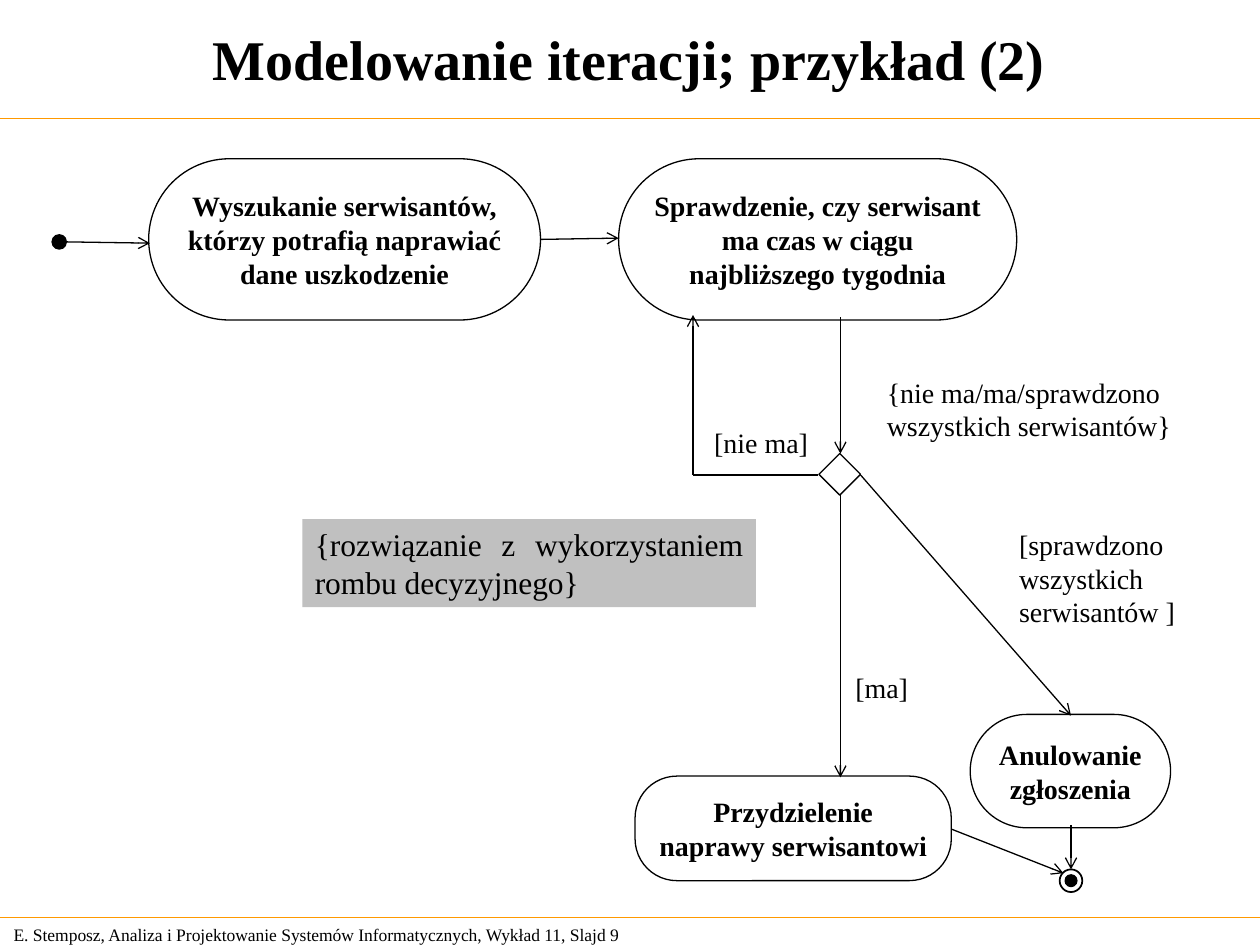
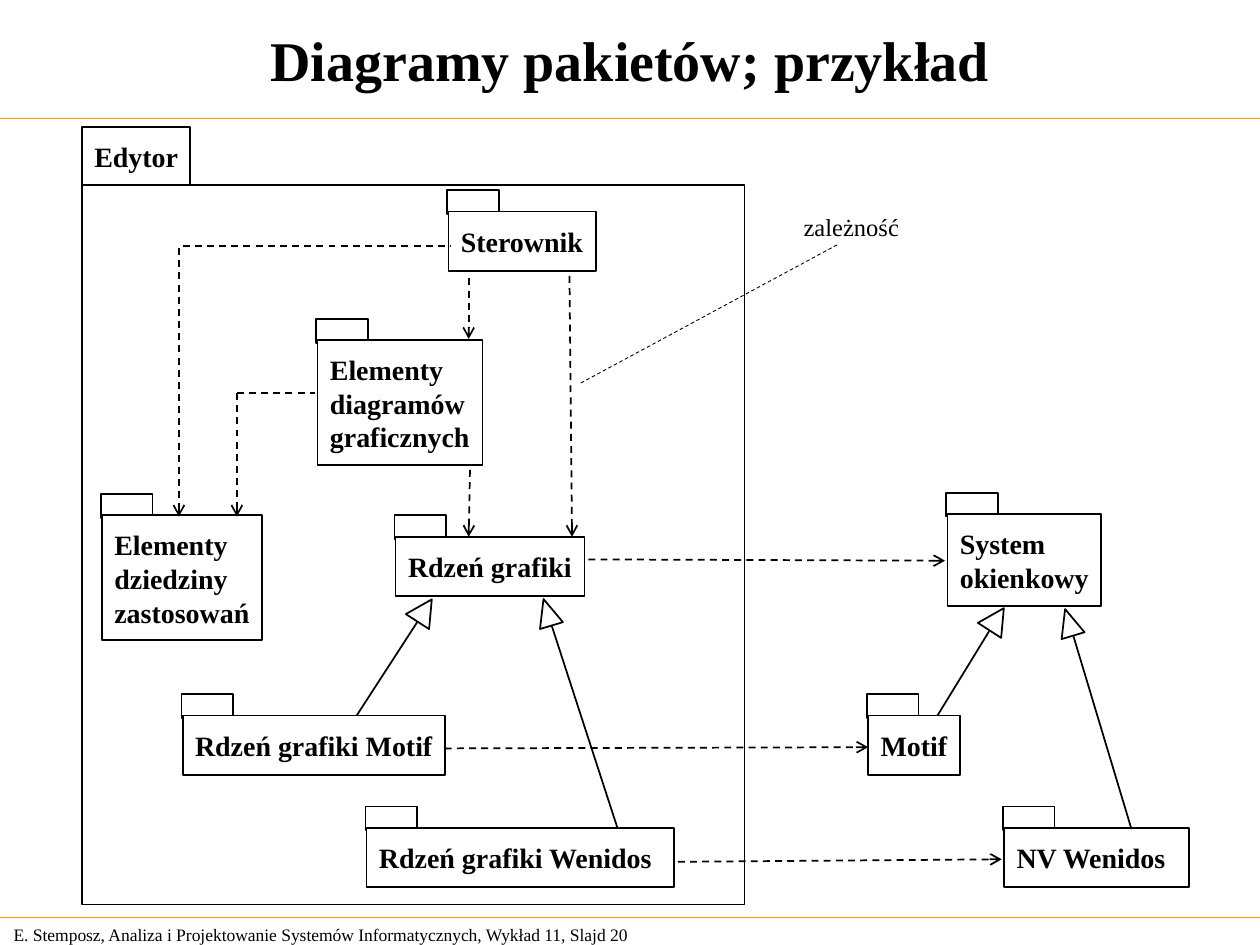
from lxml import etree
from pptx import Presentation
from pptx import util as u
from pptx.dml.color import RGBColor
from pptx.enum import dml, shapes, text
from pptx.oxml import ns

FONT, BLACK, WHITE, GREY, ORANGE = "Times New Roman", "000000", "FFFFFF", "C0C0C0", "FF9900"
AL, ANC, G = text.PP_ALIGN, text.MSO_ANCHOR, shapes.MSO_SHAPE


def color(code):
    """Turn a hex string into a colour."""
    return RGBColor.from_string(code)


def write(frame, words, size=16, bold=False, align=AL.LEFT, anchor=ANC.TOP, pad=0.05, wrap=False):
    """Fill a text frame, one paragraph per line of words."""
    frame.auto_size = text.MSO_AUTO_SIZE.NONE
    frame.word_wrap = wrap
    frame.vertical_anchor = anchor
    frame.margin_left = frame.margin_right = u.Inches(0.1)
    frame.margin_top = frame.margin_bottom = u.Inches(pad)
    frame.text = words
    for para in frame.paragraphs:
        para.alignment = align
        font = para.font
        font.name, font.size, font.bold = FONT, u.Pt(size), bold
        font.color.rgb = color(BLACK)


class Deck:
    """Hold the shared style and the current slide."""

    def __init__(self):
        """Start an empty deck."""
        self.prs = Presentation()
        self.prs.slide_width, self.prs.slide_height = u.Inches(10), u.Inches(7.5)

    def page(self, title, num, place):
        """Add a slide with its title, rules and footer."""
        self.slide = self.prs.slides.add_slide(self.prs.slide_layouts[5])
        for y in (0.94, 7.28):
            self.line((0, y), (10, y), ink=ORANGE)
        self.label(f"E. Stemposz, Analiza i Projektowanie Systemów Informatycznych, Wykład 11, Slajd {num}",
                   (0.01, 7.28, 5.24, 0.27), size=10, anchor=ANC.MIDDLE)
        head = self.slide.shapes.title
        head.left, head.top, head.width, head.height = map(u.Inches, place)
        write(head.text_frame, title, size=32, bold=True, align=AL.CENTER, anchor=ANC.MIDDLE, wrap=True)

    def label(self, words, place, **style):
        """Add a plain text box."""
        box = self.slide.shapes.add_textbox(*map(u.Inches, place))
        write(box.text_frame, words, **style)

    def shape(self, kind, place, fill=None, ink=BLACK, width=1, turn=0):
        """Add a preset shape."""
        item = self.slide.shapes.add_shape(kind, *map(u.Inches, place))
        item.shadow.inherit = False
        item.rotation = turn
        if fill:
            item.fill.solid()
            item.fill.fore_color.rgb = color(fill)
        else:
            item.fill.background()
        if ink:
            item.line.color.rgb = color(ink)
            item.line.width = u.Pt(width)
        else:
            item.line.fill.background()
        return item

    def line(self, start, end, ink=BLACK, width=0.75, dash=False, arrow=False):
        """Add a straight line, dashed or with an open arrowhead on request."""
        link = self.slide.shapes.add_connector(
            shapes.MSO_CONNECTOR.STRAIGHT, *map(u.Inches, (*start, *end)))
        link.line.color.rgb = color(ink)
        link.line.width = u.Pt(width)
        if dash:
            link.line.dash_style = dml.MSO_LINE.DASH
        props = link._element.spPr
        if arrow:
            etree.SubElement(props.find(ns.qn("a:ln")), ns.qn("a:tailEnd"), type="arrow")
        etree.SubElement(props, ns.qn("a:effectLst"))

    def state(self, words, place, bend=0.5):
        """Add a rounded activity."""
        item = self.shape(G.ROUNDED_RECTANGLE, place, width=0.75)
        item.adjustments[0] = bend
        write(item.text_frame, words, bold=True, align=AL.CENTER, anchor=ANC.MIDDLE)

    def dot(self, x, y, size, fill=BLACK):
        """Add a circle around a centre."""
        self.shape(G.OVAL, (x - size / 2, y - size / 2, size, size), fill)

    def block(self, words, x, y, w):
        """Add a titled box as high as its lines."""
        high = 0.21 + 0.26 * len(words.split("\n"))
        item = self.shape(G.RECTANGLE, (x, y, w, high), WHITE)
        write(item.text_frame, words, bold=True, pad=0.1)

    def pack(self, words, x, y, w):
        """Add a package: a small tab behind a block."""
        self.shape(G.RECTANGLE, (x - 0.01, y - 0.17, 0.41, 0.19), WHITE)
        self.block(words, x, y, w)

    def heir(self, place, turn, start, end):
        """Add a generalisation: a line and a hollow triangle."""
        self.line(start, end, width=1)
        self.shape(G.ISOSCELES_TRIANGLE, place, WHITE, turn=turn)


def loop(deck):
    """Draw the activity diagram."""
    deck.page("Modelowanie iteracji; przykład (2)", 9, (0, 0, 9.99, 0.92))
    deck.state("Wyszukanie serwisantów,\nktórzy potrafią naprawiać\ndane uszkodzenie",
               (1.18, 1.26, 3.11, 1.28))
    deck.state("Sprawdzenie, czy serwisant\nma czas w ciągu\nnajbliższego tygodnia",
               (4.91, 1.26, 3.16, 1.28))
    deck.state("Przydzielenie\nnaprawy serwisantowi", (5.04, 6.16, 2.51, 0.83), 0.4)
    deck.state("Anulowanie\nzgłoszenia", (7.7, 5.67, 1.59, 0.9))
    deck.shape(G.DIAMOND, (6.5, 3.6, 0.33, 0.33), width=0.75)
    for words, place in (
        ("{nie ma/ma/sprawdzono\nwszystkich serwisantów}", (6.94, 2.93, 2.45, 0.64)),
        ("[nie ma]", (5.57, 3.33, 0.94, 0.37)),
        ("[ma]", (6.69, 5.27, 0.67, 0.37)),
        ("[sprawdzono\nwszystkich\nserwisantów ]", (7.99, 4.14, 1.44, 0.9)),
    ):
        deck.label(words, place)
    note = deck.shape(G.RECTANGLE, (2.4, 4.12, 3.6, 0.7), GREY, ink=None)
    write(note.text_frame, "{rozwiązanie z wykorzystaniem rombu decyzyjnego}",
          size=18, align=AL.JUSTIFY, wrap=True)
    deck.dot(0.47, 1.92, 0.11)
    deck.dot(8.5, 6.99, 0.18, None)
    deck.dot(8.5, 6.99, 0.09)
    deck.line((6.49, 3.77), (5.5, 3.77))
    for start, end in (
        ((0.53, 1.92), (1.19, 1.93)),
        ((4.29, 1.9), (4.91, 1.89)),
        ((6.67, 2.52), (6.67, 3.6)),
        ((6.67, 3.92), (6.67, 6.17)),
        ((5.5, 3.77), (5.5, 2.5)),
        ((6.83, 3.77), (8.5, 5.68)),
        ((8.5, 6.55), (8.5, 6.9)),
        ((7.55, 6.58), (8.44, 6.93)),
    ):
        deck.line(start, end, arrow=True)


def packs(deck):
    """Draw the package diagram."""
    deck.page("Diagramy pakietów; przykład", 20, (0.04, 0.04, 9.92, 0.85))
    deck.block("Edytor", 0.65, 1.01, 0.86)
    deck.shape(G.RECTANGLE, (0.65, 1.47, 5.26, 5.71), WHITE)
    for words, x, y, w in (
        ("Elementy\ndiagramów\ngraficznych", 2.52, 2.7, 1.31),
        ("Elementy\ndziedziny\nzastosowań", 0.81, 4.09, 1.27),
        ("Sterownik", 3.56, 1.68, 1.17),
        ("Rdzeń grafiki", 3.14, 4.26, 1.5),
        ("Rdzeń grafiki Motif", 1.45, 5.68, 2.08),
        ("Rdzeń grafiki Wenidos", 2.91, 6.57, 2.44),
        ("System\nokienkowy", 7.52, 4.08, 1.22),
        ("Motif", 6.89, 5.68, 0.73),
        ("NV Wenidos", 7.97, 6.57, 1.47),
    ):
        deck.pack(words, x, y, w)
    for start, end in (
        ((5.38, 6.84), (7.95, 6.82)),
        ((3.53, 5.94), (6.89, 5.93)),
        ((4.67, 4.44), (7.5, 4.45)),
        ((4.52, 2.19), (4.54, 4.26)),
        ((3.73, 3.73), (3.72, 4.26)),
        ((3.72, 2.21), (3.72, 2.69)),
        ((1.88, 3.12), (1.88, 4.1)),
        ((1.42, 1.97), (1.42, 4.1)),
    ):
        deck.line(start, end, width=1, dash=True, arrow=True)
    deck.line((1.45, 1.95), (3.58, 1.95), width=1, dash=True)
    deck.line((1.88, 3.12), (2.5, 3.12), width=1, dash=True)
    deck.heir((3.26, 4.74, 0.22, 0.21), 32.9, (3.31, 4.94), (2.83, 5.68))
    deck.heir((7.8, 4.81, 0.22, 0.21), 32.9, (7.85, 5.01), (7.44, 5.68))
    deck.heir((4.25, 4.75, 0.19, 0.22), 343.3, (4.38, 4.97), (4.9, 6.57))
    deck.heir((8.39, 4.83, 0.19, 0.22), 343.3, (8.52, 5.05), (8.98, 6.58))
    deck.label("zależność", (6.28, 1.63, 0.96, 0.34), size=14)
    deck.line((4.61, 3.04), (6.65, 1.94), width=0.5, dash=True)


def main():
    """Build and save both slides."""
    deck = Deck()
    loop(deck)
    packs(deck)
    deck.prs.save("out.pptx")


if __name__ == "__main__":
    main()
